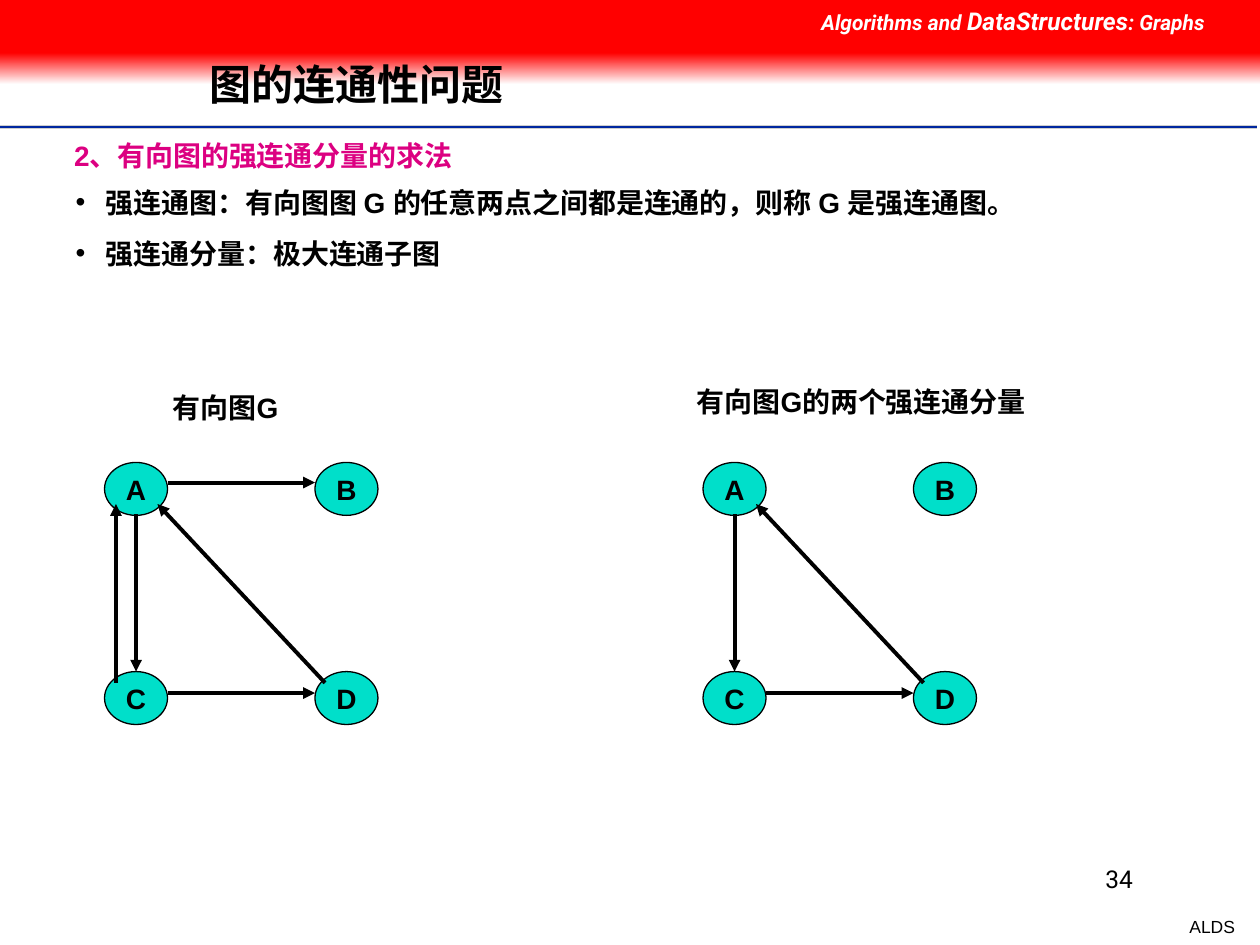
from dataclasses import dataclass

from lxml.etree import SubElement
from pptx import Presentation
from pptx.dml.color import RGBColor as RGB
from pptx.enum.shapes import MSO_CONNECTOR as CONN, MSO_SHAPE as SHAPE
from pptx.enum.text import MSO_ANCHOR as ANCHOR, MSO_AUTO_SIZE as AUTO, PP_ALIGN as ALIGN
from pptx.oxml.ns import qn
from pptx.util import Inches, Pt


@dataclass(frozen=True)
class Theme:
    red: RGB = RGB(0xFF, 0, 0)
    white: RGB = RGB(0xFF, 0xFF, 0xFF)
    black: RGB = RGB(0, 0, 0)
    grey: RGB = RGB(0xCE, 0xCE, 0xCE)
    blue: RGB = RGB(0, 0x27, 0x9F)
    pink: RGB = RGB(0xDC, 0, 0x81)
    teal: RGB = RGB(0, 0xDF, 0xCA)
    font: str = "Arial"
    header_font: str = "Roboto"
    title: int = 24
    body: int = 16
    large: int = 14
    header: int = 12
    small: int = 10


T = Theme()

# Graph geometry, relative to the top left corner of node A
NODE_W, NODE_H = 0.5, 0.42
COL, ROW = 1.67, 1.66
NODES = {"A": (0, 0), "B": (COL, 0), "C": (0, ROW), "D": (COL, ROW)}
EDGES = {
    "AB": ((NODE_W, 0.16), (COL, 0.16)),
    "CD": ((NODE_W, 1.83), (COL, 1.83)),
    "AC": ((0.25, 0.41), (0.25, ROW)),
    "DA": ((1.75, 1.75), (0.42, 0.33)),
    "CA": ((0.09, 1.75), (0.09, 0.33)),
}


def style(p, size=T.body, color=T.black, font=T.font, bold=True):
    for r in p.runs:
        r.font.name, r.font.size, r.font.bold = font, Pt(size), bold
        r.font.color.rgb = color


def place(shape, x, y, w, h):
    shape.left, shape.top = Inches(x), Inches(y)
    shape.width, shape.height = Inches(w), Inches(h)


def add_text(s, text, x, y, w, h, align=ALIGN.LEFT, wrap=True, **look):
    tf = s.shapes.add_textbox(Inches(x), Inches(y), Inches(w), Inches(h)).text_frame
    tf.word_wrap = wrap
    p = tf.paragraphs[0]
    p.text, p.alignment = text, align
    style(p, **look)
    return p


def add_line(s, start, end, color, width, arrow=False):
    ends = [Inches(v) for v in (*start, *end)]
    line = s.shapes.add_connector(CONN.STRAIGHT, *ends)
    line.line.color.rgb, line.line.width = color, Pt(width)
    if arrow:
        SubElement(line.line._get_or_add_ln(), qn("a:tailEnd"), type="triangle")
    SubElement(line.element.spPr, qn("a:effectLst"))


def add_shape(s, kind, x, y, w, h):
    sp = s.shapes.add_shape(kind, Inches(x), Inches(y), Inches(w), Inches(h))
    sp.shadow.inherit = False
    return sp


def add_band(s, y, h, fade_to=None):
    sp = add_shape(s, SHAPE.RECTANGLE, 0, y, 10, h)
    sp.line.fill.background()
    if fade_to is None:
        sp.fill.solid()
        sp.fill.fore_color.rgb = T.red
        return
    sp.fill.gradient()
    sp.fill.gradient_angle = 270
    for stop, color, pos in zip(sp.fill.gradient_stops, (T.red, fade_to), (0, 1)):
        stop.color.rgb, stop.position = color, pos


def add_node(s, name, x, y):
    sp = add_shape(s, SHAPE.OVAL, x, y, NODE_W, NODE_H)
    sp.fill.solid()
    sp.fill.fore_color.rgb = T.teal
    sp.line.color.rgb, sp.line.width = T.black, Pt(0.75)
    tf = sp.text_frame
    tf.word_wrap, tf.vertical_anchor = False, ANCHOR.MIDDLE
    tf.text = name
    tf.paragraphs[0].alignment = ALIGN.CENTER
    style(tf.paragraphs[0])


def add_graph(s, x, y, edges):
    for name, (dx, dy) in NODES.items():
        add_node(s, name, x + dx, y + dy)
    for edge in edges:
        start, end = [(x + dx, y + dy) for dx, dy in EDGES[edge]]
        add_line(s, start, end, T.black, 2.25, arrow=True)


def add_header(s):
    # Rule under the title: shade, line and highlight
    for y, color, width in ((1.01, T.grey, 2), (1.01, T.blue, 1), (1.03, T.white, 1)):
        add_line(s, (0, y), (9.98, y), color, width)
    add_band(s, 0.42, 0.25, fade_to=T.white)
    add_band(s, 0, 0.42)
    p = add_text(s, "Algorithms and ", 6.42, 0, 3.58, 0.34)
    for text in ("DataStructures", ": Graphs"):
        p.add_run().text = text
    style(p, T.header, T.white, T.header_font)
    p.runs[1].font.size = Pt(T.large)
    for r in p.runs:
        r.font.italic = True


def add_footer(s):
    add_text(s, "ALDS", 9.34, 7.22, 0.56, 0.27, ALIGN.RIGHT, wrap=False,
             size=T.small, bold=False)
    add_text(s, "34", 7.17, 6.81, 1.92, 0.5, ALIGN.RIGHT,
             size=T.large, font=T.header_font, bold=False)


def fill_title(s, text):
    title = s.shapes.title
    s.shapes.element.append(title.element)  # in front of the header band
    place(title, 1.56, 0.32, 7.55, 0.74)
    tf = title.text_frame
    tf.text, tf.auto_size, tf.vertical_anchor = text, AUTO.NONE, ANCHOR.MIDDLE
    p = tf.paragraphs[0]
    p.alignment, p.line_spacing = ALIGN.LEFT, 0.9
    style(p, T.title)


def fill_bullets(s, items):
    body = s.placeholders[1]
    place(body, 0.5, 1.42, 9, 0.77)
    tf = body.text_frame
    tf.text, tf.auto_size = "\n".join(items), AUTO.NONE
    for i, p in enumerate(tf.paragraphs):
        pPr = p._p.get_or_add_pPr()
        pPr.set("marL", str(Inches(0.24)))
        pPr.set("indent", str(-Inches(0.24)))
        color = SubElement(pPr, qn("a:buClr"))
        SubElement(color, qn("a:srgbClr"), val=str(T.black))
        SubElement(pPr, qn("a:buFont"), typeface=T.font)
        SubElement(pPr, qn("a:buChar"), char="•")
        p.space_before = Pt(10 if i else 0)
        style(p)


def main():
    prs = Presentation()
    prs.slide_width, prs.slide_height = Inches(10), Inches(7.5)
    s = prs.slides.add_slide(prs.slide_layouts[1])

    # Frame of the slide
    add_header(s)
    add_footer(s)

    # Title and definitions
    fill_title(s, "图的连通性问题")
    add_text(s, "2、有向图的强连通分量的求法", 0.49, 1.05, 3.5, 0.37, color=T.pink)
    fill_bullets(s, [
        "强连通图：有向图图 G 的任意两点之间都是连通的，则称 G 是强连通图。",
        "强连通分量：极大连通子图",
    ])

    # Directed graph and its strongly connected components
    add_text(s, "有向图G", 1.08, 3.05, 1.42, 0.37, ALIGN.CENTER)
    add_text(s, "有向图G的两个强连通分量", 5.25, 3, 3.17, 0.37, ALIGN.CENTER)
    add_graph(s, 0.83, 3.67, EDGES)
    add_graph(s, 5.58, 3.67, ("CD", "AC", "DA"))

    prs.save("out.pptx")


if __name__ == "__main__":
    main()
